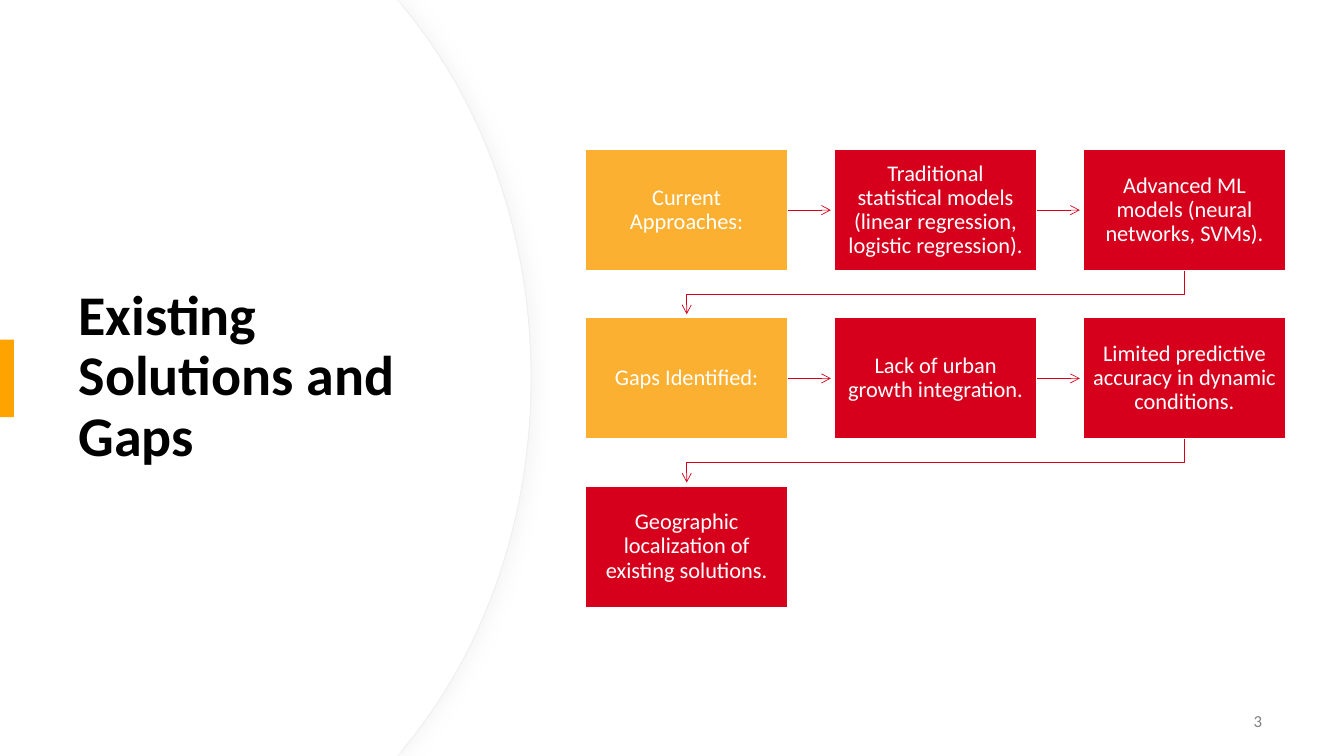
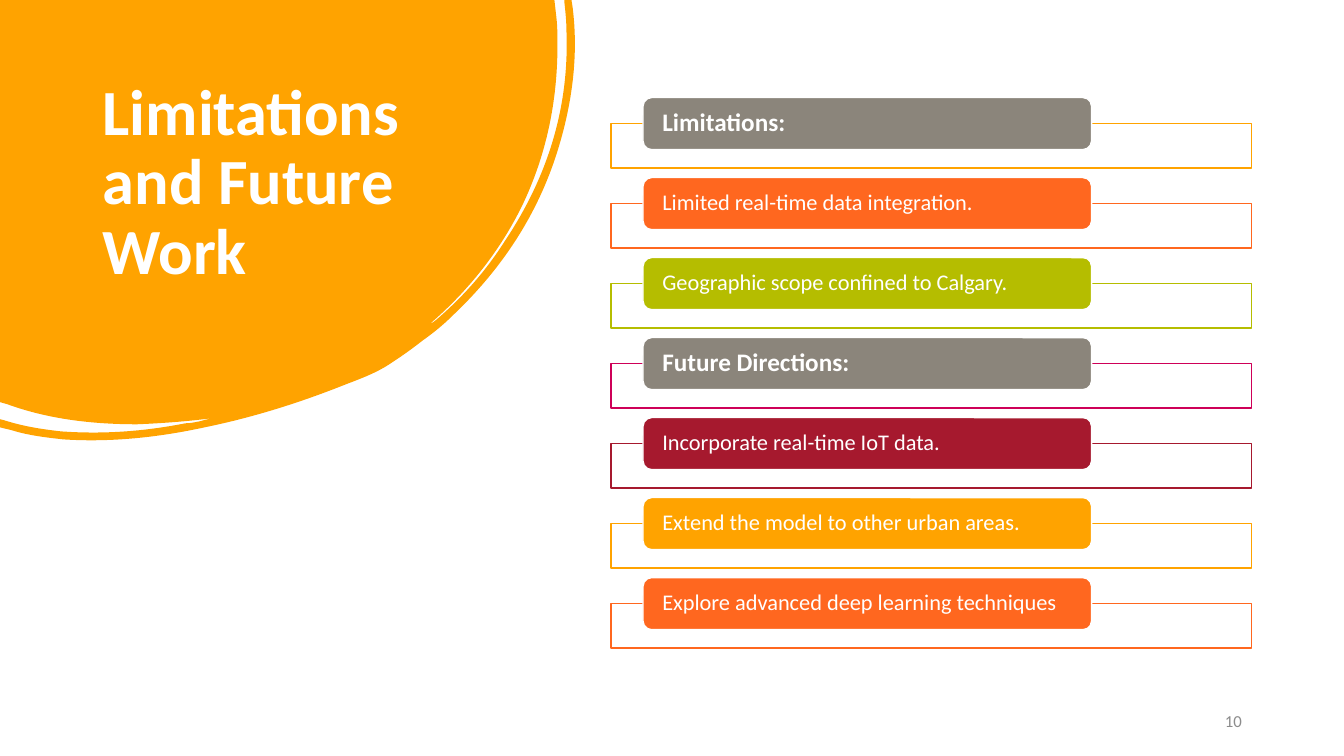
from dataclasses import dataclass

from lxml.etree import SubElement
from pptx import Presentation
from pptx.dml.color import RGBColor
from pptx.enum.shapes import MSO_CONNECTOR as CONN, MSO_SHAPE as SHAPE
from pptx.enum.text import MSO_ANCHOR as ANCHOR, MSO_AUTO_SIZE as FIT, PP_ALIGN as ALIGN
from pptx.oxml.ns import qn
from pptx.util import Pt


@dataclass(frozen=True)
class Theme:
    # colours
    white: str = "FFFFFF"
    black: str = "000000"
    orange: str = "FFA300"
    amber: str = "FBB031"
    red: str = "D6001C"
    coral: str = "FF671F"
    lime: str = "B5BD00"
    magenta: str = "CE0058"
    crimson: str = "A6192E"
    taupe: str = "8B857B"
    hairline: str = "EFEFEF"
    shade: str = "D9D9D9"
    gray: str = "808080"
    light_gray: str = "8C8C8C"
    # type
    font: str = "Calibri"
    title: int = 40
    big_title: int = 46
    heading: int = 18
    body: int = 16
    number: int = 12
    spacing: float = 0.9


T = Theme()
SLIDE_W, SLIDE_H = 960, 540

# Flow chart: rows of (text, is_heading)
FLOW = [
    [("Current Approaches:", True),
     ("Traditional statistical models (linear regression, logistic regression).", False),
     ("Advanced ML models (neural networks, SVMs).", False)],
    [("Gaps Identified:", True),
     ("Lack of urban growth integration.", False),
     ("Limited predictive accuracy in dynamic conditions.", False)],
    [("Geographic localization of existing solutions.", False)],
]

# List rows: text, tag colour, frame colour, is_heading
ROWS = [
    ("Limitations:", T.taupe, T.orange, True),
    ("Limited real-time data integration.", T.coral, T.coral, False),
    ("Geographic scope confined to Calgary.", T.lime, T.lime, False),
    ("Future Directions:", T.taupe, T.magenta, True),
    ("Incorporate real-time IoT data.", T.crimson, T.crimson, False),
    ("Extend the model to other urban areas.", T.orange, T.orange, False),
    ("Explore advanced deep learning techniques", T.coral, T.coral, False),
]

# Outline steps: two numbers make a line, six make a cubic curve
BLOB = [
    (0, 0), (396, 0), (397.4, 12.2),
    (398.2, 18.7, 398.2, 25.9, 398.2, 32.4),
    (398.2, 72.7, 390.2, 110.9, 373, 146.9),
    (357.1, 179.3, 334.8, 207.4, 307.4, 231.1),
    (308.9, 231.1, 309.6, 229.7, 311, 229),
    (330.5, 212.4, 347, 193.7, 360.7, 172.1),
    (391, 126.7, 406.8, 77, 404.6, 21.6),
    (404.6, 15.1, 403.9, 8.6, 403.2, 2.2),
    (403.2, 0), (408.2, 0), (409, 5),
    (413.3, 38.9, 409, 73.4, 398.2, 108),
    (383.8, 154.1, 357.8, 193, 322.6, 226.1),
    (316.1, 232.6, 308.9, 238.3, 301.7, 243.4),
    (294.5, 249.1, 287.3, 254.2, 278.6, 259.9),
    (270, 265.7, 259.2, 270, 247.7, 274.3),
    (215.3, 287.3, 181.4, 298.1, 146.2, 305.3),
    (113, 312.5, 79.2, 316.1, 45.4, 313.9),
    (32.4, 312.5, 20.2, 311, 8.6, 307.4),
    (0, 305.3), (0, 299.5), (2.9, 300.2),
    (16.6, 304.6, 30.2, 306.7, 43.9, 308.2),
    (74.2, 310.3, 103, 308.2, 132.5, 302.4),
    (136.1, 302.4, 139, 301.7, 142.6, 301),
    (145.4, 300.2, 148.3, 299.5, 151.2, 298.8),
    (133.9, 301, 115.9, 302.4, 97.9, 303.1),
    (66.2, 303.1, 34.6, 299.5, 5, 288.7),
    (0, 287.3),
]


# Basic formatting
def rgb(value):
    return RGBColor.from_string(value)


def box(x, y, w, h):
    return Pt(x), Pt(y), Pt(w), Pt(h)


def paint(sp, fill=None, line=None, width=1):
    sp.shadow.inherit = False
    if fill:
        sp.fill.solid()
        sp.fill.fore_color.rgb = rgb(fill)
    else:
        sp.fill.background()
    if line:
        sp.line.color.rgb = rgb(line)
        sp.line.width = Pt(width)
    else:
        sp.line.fill.background()


def write(sp, text, size, color, align=ALIGN.LEFT, anchor=ANCHOR.MIDDLE,
          bold=False, insets=(7.2, 3.6), spacing=T.spacing):
    tf = sp.text_frame
    tf.word_wrap, tf.auto_size, tf.vertical_anchor = True, FIT.NONE, anchor
    tf.margin_left = tf.margin_right = Pt(insets[0])
    tf.margin_top = tf.margin_bottom = Pt(insets[1])
    p = tf.paragraphs[0]
    p.text, p.alignment, p.line_spacing = text, align, spacing
    p.font.name, p.font.size, p.font.bold = T.font, Pt(size), bold
    p.font.color.rgb = rgb(color)


# Shared slide parts
def add_title(s, text, area, size, color, anchor):
    sp = s.shapes.title
    sp.left, sp.top, sp.width, sp.height = box(*area)
    write(sp, text, size, color, anchor=anchor, bold=True)
    sp.element.getparent().append(sp.element)  # in front of the backdrop


def add_number(s, text, right, color):
    sp = s.shapes.add_textbox(*box(right - 216, 500.4, 216, 28.8))
    write(sp, text, T.number, color, align=ALIGN.RIGHT, spacing=1.0)


def add_box(s, kind, area, fill, line=None):
    sp = s.shapes.add_shape(kind, *box(*area))
    paint(sp, fill, line)
    return sp


# Outlines and arrows
def add_outline(s, area, steps, close=True):
    """Build a freeform that fills area, then give its path lines and curves."""
    x, y, w, h = box(*area)
    builder = s.shapes.build_freeform(x, y, scale=1.0)
    builder.add_line_segments([(x + w, y), (x + w, y + h), (x, y + h)])
    sp = builder.convert_to_shape()
    path = next(sp.element.spPr.iter(qn("a:path")))
    del path[:]
    for i, step in enumerate(steps):
        tag = "a:moveTo" if i == 0 else "a:lnTo" if len(step) == 2 else "a:cubicBezTo"
        node = SubElement(path, qn(tag))
        for px, py in zip(step[::2], step[1::2]):
            SubElement(node, qn("a:pt"), x=str(Pt(px) - x), y=str(Pt(py) - y))
    if close:
        SubElement(path, qn("a:close"))
    return sp


def add_head(sp):
    SubElement(sp.element.spPr.find(qn("a:ln")), qn("a:tailEnd"), type="arrow")


def add_soft_shadow(sp, color):
    effects = sp.element.spPr.find(qn("a:effectLst"))
    shadow = SubElement(effects, qn("a:outerShdw"), blurRad=str(Pt(12)),
                        dist=str(Pt(3)), dir="0", rotWithShape="0")
    tint = SubElement(shadow, qn("a:srgbClr"), val=color)
    SubElement(tint, qn("a:alpha"), val="25000")


def add_arrow(s, source, length):
    x, y = source.left + source.width, source.top + source.height // 2
    c = s.shapes.add_connector(CONN.STRAIGHT, x, y, x + Pt(length), y)
    c.begin_connect(source, 3)
    c.line.color.rgb = rgb(T.red)
    c.line.width = Pt(0.5)
    add_head(c)
    SubElement(c.element.spPr, qn("a:effectLst"))


def add_return_arrow(s, x1, x2, top, bend, bottom):
    sp = add_outline(s, (x2, top, x1 - x2, bottom - top),
                     [(x1, top), (x1, bend), (x2, bend), (x2, bottom)], close=False)
    paint(sp, line=T.red, width=0.5)
    add_head(sp)


# Slide parts
def add_disc(s):
    for inset, line in ((0, T.hairline), (0.7, None)):
        edge = 379.4 - inset
        near, mid = 288.7 - inset, 344.9 - inset
        sp = add_outline(s, (0, 0, edge, SLIDE_H), [
            (0, 0), (283.7, 0), (near, 5.8),
            (mid, 73.4, edge, 167, edge, SLIDE_H / 2),
            (edge, SLIDE_H - 167, mid, SLIDE_H - 73.4, near, SLIDE_H - 5.8),
            (283.7, SLIDE_H), (0, SLIDE_H)])
        paint(sp, T.white, line, 0.75)
        if line:
            add_soft_shadow(sp, T.shade)


def add_flow(s):
    left, top, w, h = 418.1, 106.7, 144.8, 86.8
    col_step, row_step, gap_end = 177.8, 120.2, 2.4
    for i, row in enumerate(FLOW):
        y = top + i * row_step
        for j, (text, heading) in enumerate(row):
            sp = add_box(s, SHAPE.RECTANGLE, (left + j * col_step, y, w, h),
                         T.amber if heading else T.red, T.white)
            write(sp, text, T.body, T.white, align=ALIGN.CENTER, insets=(7.2, 7.2))
            if j < len(row) - 1:
                add_arrow(s, sp, col_step - w - gap_end)
        if i < len(FLOW) - 1:
            center = left + w / 2
            add_return_arrow(s, center + (len(row) - 1) * col_step, center,
                             y + h, y + h + 16.6, y + row_step - gap_end)


def add_rows(s):
    for i, (text, fill, line, heading) in enumerate(ROWS):
        y = 69.7 + i * 57.15
        add_box(s, SHAPE.RECTANGLE, (436.3, y + 18.5, 457.6, 31.8), T.white, line)
        sp = add_box(s, SHAPE.ROUNDED_RECTANGLE, (459.3, y, 320.4, 37.2), fill, T.white)
        write(sp, text, T.heading if heading else T.body, T.white,
              bold=heading, insets=(12, 0))


# Slides
def build_gaps(s):
    add_disc(s)
    add_title(s, "Existing Solutions and Gaps", (49, 91.4, 283.7, 356.4),
              T.title, T.black, ANCHOR.MIDDLE)
    add_box(s, SHAPE.RECTANGLE, (0, 242.6, 10, 55.4), T.orange)
    add_number(s, "3", 908.6, T.gray)
    add_flow(s)


def build_limitations(s):
    paint(add_outline(s, (0, 0, 411.1, 314.6), BLOB), T.orange)
    add_title(s, "Limitations and Future Work", (66.2, 53.3, 253.4, 159.8),
              T.big_title, T.white, ANCHOR.TOP)
    add_number(s, "10", 894.2, T.light_gray)
    add_rows(s)


def main():
    prs = Presentation()
    prs.slide_width, prs.slide_height = Pt(SLIDE_W), Pt(SLIDE_H)
    title_only = prs.slide_layouts[5]
    for build in (build_gaps, build_limitations):
        build(prs.slides.add_slide(title_only))
    prs.save("out.pptx")


if __name__ == "__main__":
    main()
